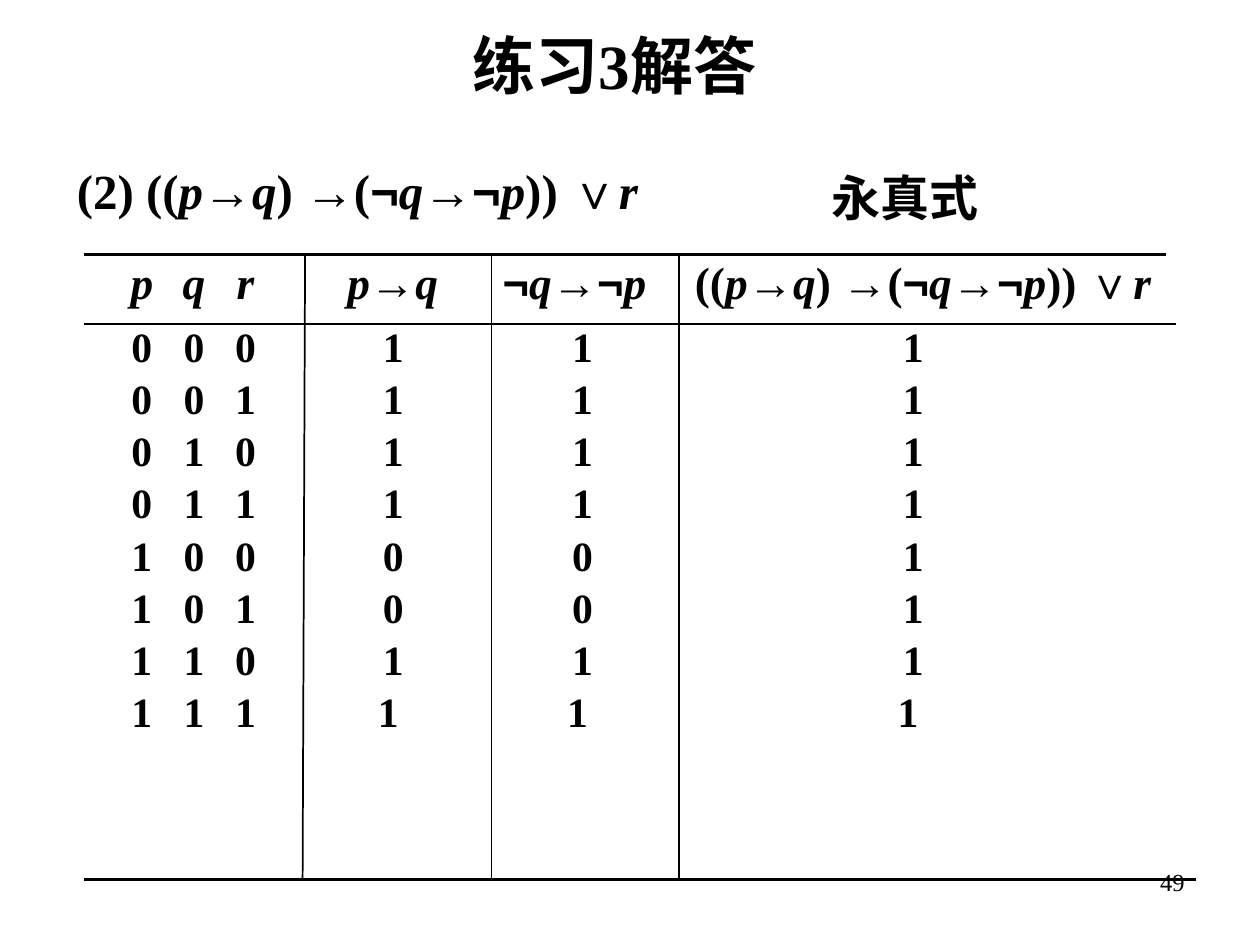
from itertools import groupby

from lxml.etree import SubElement
from pptx import Presentation
from pptx.dml.color import RGBColor
from pptx.enum.shapes import MSO_CONNECTOR
from pptx.enum.text import MSO_ANCHOR, PP_ALIGN
from pptx.oxml.ns import qn
from pptx.util import Cm, Pt

# Content
TITLE = "练习3解答"
FORMULA = "((p→q) →(¬q→¬p)) ∨r"
VERDICT = "永真式"
PAGE_NUMBER = "49"
VARIABLES = "pqr"
ASSIGNMENTS = ["000", "001", "010", "011", "100", "101", "110", "111"]
IMPLICATION = ["1", "1", "1", "1", "0", "0", "1", "1 "]
TAUTOLOGY = ["1"] * 7 + ["1 "]

COLORS = {"ink": "000000"}
SERIF, SANS = "Times New Roman", "Arial"
SANS_CHARACTERS = "→¬∨练习"

# Table geometry in centimetres
LEFT, TOP, HEADER_BOTTOM, BOTTOM = 1.7, 5.13, 6.53, 17.73
HEADER_HEIGHT, BODY_HEIGHT = HEADER_BOTTOM - TOP, 9.78
VARIABLE_STOPS = (0.91, 1.96, 3.0)
COLUMNS = [  # header, values, header (left, width), values (left, width)
    ("p→q ", IMPLICATION, (6.15, 3.76), (6.15, 3.56)),
    ("¬q→¬p ", IMPLICATION, (9.7, 3.99), (9.98, 3.53)),
    (FORMULA, TAUTOLOGY, (13.31, 10.59), (15.72, 5.38)),
]
RULES = [  # x1, y1, x2, y2, points
    (LEFT, TOP, 23.5, TOP, 2.25),
    (LEFT, HEADER_BOTTOM, 23.7, HEADER_BOTTOM, 1),
    (LEFT, BOTTOM, 24.1, BOTTOM, 2.25),
    (6.15, TOP, 6.1, BOTTOM, 1),
    (9.91, TOP, 9.91, BOTTOM, 1),
    (13.69, TOP, 13.69, BOTTOM, 1),
]


def character_style(character):
    font_name = SANS if character in SANS_CHARACTERS else SERIF
    return font_name, character in VARIABLES


def add_text(slide, box, lines, size, align=PP_ALIGN.LEFT, bold=True,
             anchor=MSO_ANCHOR.TOP, spacing=None, stops=(), inset=True):
    shape = slide.shapes.add_textbox(*(Cm(length) for length in box))
    frame = shape.text_frame
    frame.word_wrap = True
    frame.vertical_anchor = anchor
    if not inset:
        frame.margin_left = frame.margin_right = 0
        frame.margin_top = frame.margin_bottom = 0
    for index, line in enumerate(lines):
        paragraph = frame.paragraphs[0] if index == 0 else frame.add_paragraph()
        if stops:
            tab_list = SubElement(paragraph._p.get_or_add_pPr(), qn("a:tabLst"))
            for stop in stops:
                SubElement(tab_list, qn("a:tab"), pos=str(Cm(stop)), algn="ctr")
        paragraph.alignment = align
        if spacing:
            paragraph.line_spacing = spacing
        if index:
            paragraph.space_before = Pt(7)
        paragraph.font.size = Pt(size)
        paragraph.font.bold = bold
        paragraph.font.color.rgb = RGBColor.from_string(COLORS["ink"])
        for (font_name, italic), characters in groupby(line, character_style):
            run = paragraph.add_run()
            run.text = "".join(characters)
            run.font.name = font_name
            run.font.italic = italic


def add_rule(slide, x1, y1, x2, y2, points):
    line = slide.shapes.add_connector(
        MSO_CONNECTOR.STRAIGHT, Cm(x1), Cm(y1), Cm(x2), Cm(y2))
    line.line.color.rgb = RGBColor.from_string(COLORS["ink"])
    line.line.width = Pt(points)
    SubElement(line._element.spPr, qn("a:effectLst"))


def tabbed(symbols):
    return "".join("\t" + symbol for symbol in symbols)


def main():
    presentation = Presentation()
    presentation.slide_width, presentation.slide_height = Cm(25.4), Cm(19.05)
    slide = presentation.slides.add_slide(presentation.slide_layouts[6])

    # Title, formula and verdict
    add_text(slide, (5.89, 0.71, 13, 1.17), [TITLE], 36, PP_ALIGN.CENTER,
             anchor=MSO_ANCHOR.MIDDLE, inset=False)
    add_text(slide, (1.3, 3.12, 12.8, 1.45), ["(2) " + FORMULA], 28)
    add_text(slide, (16.51, 3.25, 3.8, 1.45), [VERDICT], 28,
             anchor=MSO_ANCHOR.MIDDLE)

    # Variable assignments
    add_text(slide, (LEFT, TOP, 4.45, HEADER_HEIGHT), [tabbed(VARIABLES)], 25.9,
             spacing=0.9, stops=VARIABLE_STOPS)
    add_text(slide, (LEFT, HEADER_BOTTOM, 4.45, BODY_HEIGHT),
             [tabbed(row) for row in ASSIGNMENTS], 23.8,
             spacing=0.8, stops=VARIABLE_STOPS)

    # Formula columns
    for header, values, (header_left, header_width), (left, width) in COLUMNS:
        add_text(slide, (header_left, TOP, header_width, HEADER_HEIGHT), [header],
                 25.9, PP_ALIGN.CENTER, spacing=0.9)
        add_text(slide, (left, HEADER_BOTTOM, width, BODY_HEIGHT), values,
                 23.8, PP_ALIGN.CENTER, spacing=0.8)

    # Table rules and page number
    for rule in RULES:
        add_rule(slide, *rule)
    add_text(slide, (18.21, 17.35, 5.92, 1.32), [PAGE_NUMBER], 14,
             PP_ALIGN.RIGHT, bold=False)

    presentation.save("out.pptx")


if __name__ == "__main__":
    main()
